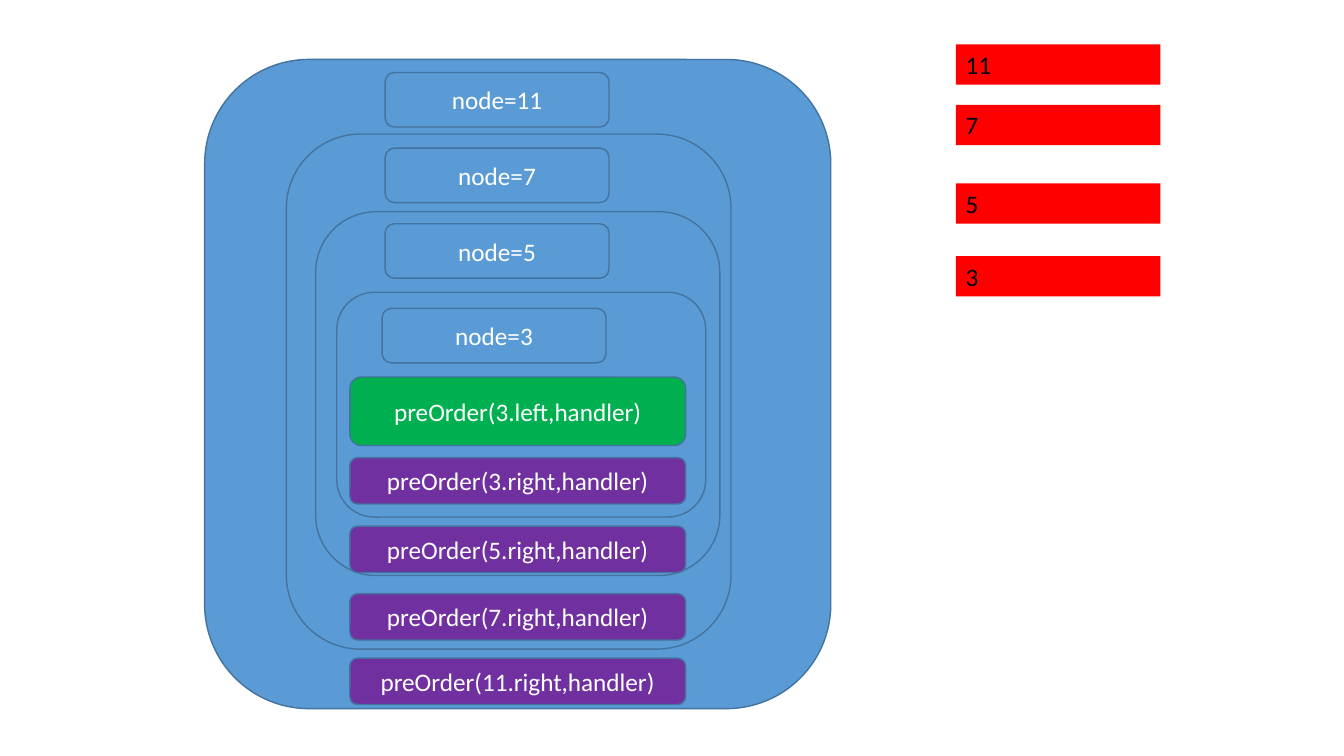
import pptx
import pptx.util
import pptx.dml.color
import pptx.enum.shapes
import pptx.enum.text

CALLS = [
    {"node": 11, "frame": (2.03, 0.59, 6.21, 6.44), "node_at": (3.82, 0.72), "right_top": 6.53, "stack_top": 0.44},
    {"node": 7, "frame": (2.84, 1.33, 4.41, 5.11), "node_at": (3.82, 1.47), "right_top": 5.89, "stack_top": 1.04},
    {"node": 5, "frame": (3.13, 2.1, 4.01, 3.61), "node_at": (3.82, 2.22), "right_top": 5.22, "stack_top": 1.82},
    {"node": 3, "frame": (3.34, 2.9, 3.66, 2.23), "node_at": (3.79, 3.06), "right_top": 4.54, "stack_top": 2.54},
]
LEFT_CALL = ("preOrder(3.left,handler)", 3.74, 0.68)
NODE_SIZE = (2.22, 0.54)
CALL_LEFT, CALL_WIDTH, CALL_HEIGHT = 3.47, 3.33, 0.46
STACK_LEFT, STACK_WIDTH, STACK_HEIGHT = 9.48, 2.03, 0.4

BLUE = pptx.dml.color.RGBColor(0x5B, 0x9B, 0xD5)
OUTLINE = pptx.dml.color.RGBColor(0x43, 0x73, 0x9E)
GREEN = pptx.dml.color.RGBColor(0x00, 0xB0, 0x50)
PURPLE = pptx.dml.color.RGBColor(0x70, 0x30, 0xA0)
RED = pptx.dml.color.RGBColor(0xFF, 0x00, 0x00)
WHITE = pptx.dml.color.RGBColor(0xFF, 0xFF, 0xFF)
BLACK = pptx.dml.color.RGBColor(0x00, 0x00, 0x00)


def write(box, text, color, align):
    frame = box.text_frame
    frame.text = text
    frame.word_wrap = True
    para = frame.paragraphs[0]
    para.alignment = align
    font = para.runs[0].font
    font.name = "Calibri"
    font.size = pptx.util.Pt(18)
    font.color.rgb = color


def add_rounded(slide, area, fill, text=""):
    box = slide.shapes.add_shape(
        pptx.enum.shapes.MSO_SHAPE.ROUNDED_RECTANGLE, *map(pptx.util.Inches, area))
    box.shadow.inherit = False
    box.fill.solid()
    box.fill.fore_color.rgb = fill
    box.line.color.rgb = OUTLINE
    box.line.width = pptx.util.Pt(1)
    if text:
        write(box, text, WHITE, pptx.enum.text.PP_ALIGN.CENTER)
        box.text_frame.vertical_anchor = pptx.enum.text.MSO_ANCHOR.MIDDLE


def add_stack_entry(slide, top, text):
    area = (STACK_LEFT, top, STACK_WIDTH, STACK_HEIGHT)
    box = slide.shapes.add_textbox(*map(pptx.util.Inches, area))
    box.fill.solid()
    box.fill.fore_color.rgb = RED
    write(box, text, BLACK, pptx.enum.text.PP_ALIGN.LEFT)
    box.text_frame.auto_size = pptx.enum.text.MSO_AUTO_SIZE.SHAPE_TO_FIT_TEXT


def main():
    deck = pptx.Presentation()
    deck.slide_width = pptx.util.Inches(13.33)
    deck.slide_height = pptx.util.Inches(7.5)
    slide = deck.slides.add_slide(deck.slide_layouts.get_by_name("Blank"))

    for call in CALLS:
        node = call["node"]
        add_rounded(slide, call["frame"], BLUE)
        add_rounded(slide, call["node_at"] + NODE_SIZE, BLUE, f"node={node}")
        add_stack_entry(slide, call["stack_top"], str(node))

    text, top, height = LEFT_CALL
    add_rounded(slide, (CALL_LEFT, top, CALL_WIDTH, height), GREEN, text)
    for call in reversed(CALLS):
        area = (CALL_LEFT, call["right_top"], CALL_WIDTH, CALL_HEIGHT)
        add_rounded(slide, area, PURPLE, f"preOrder({call['node']}.right,handler)")

    deck.save("out.pptx")


if __name__ == "__main__":
    main()
